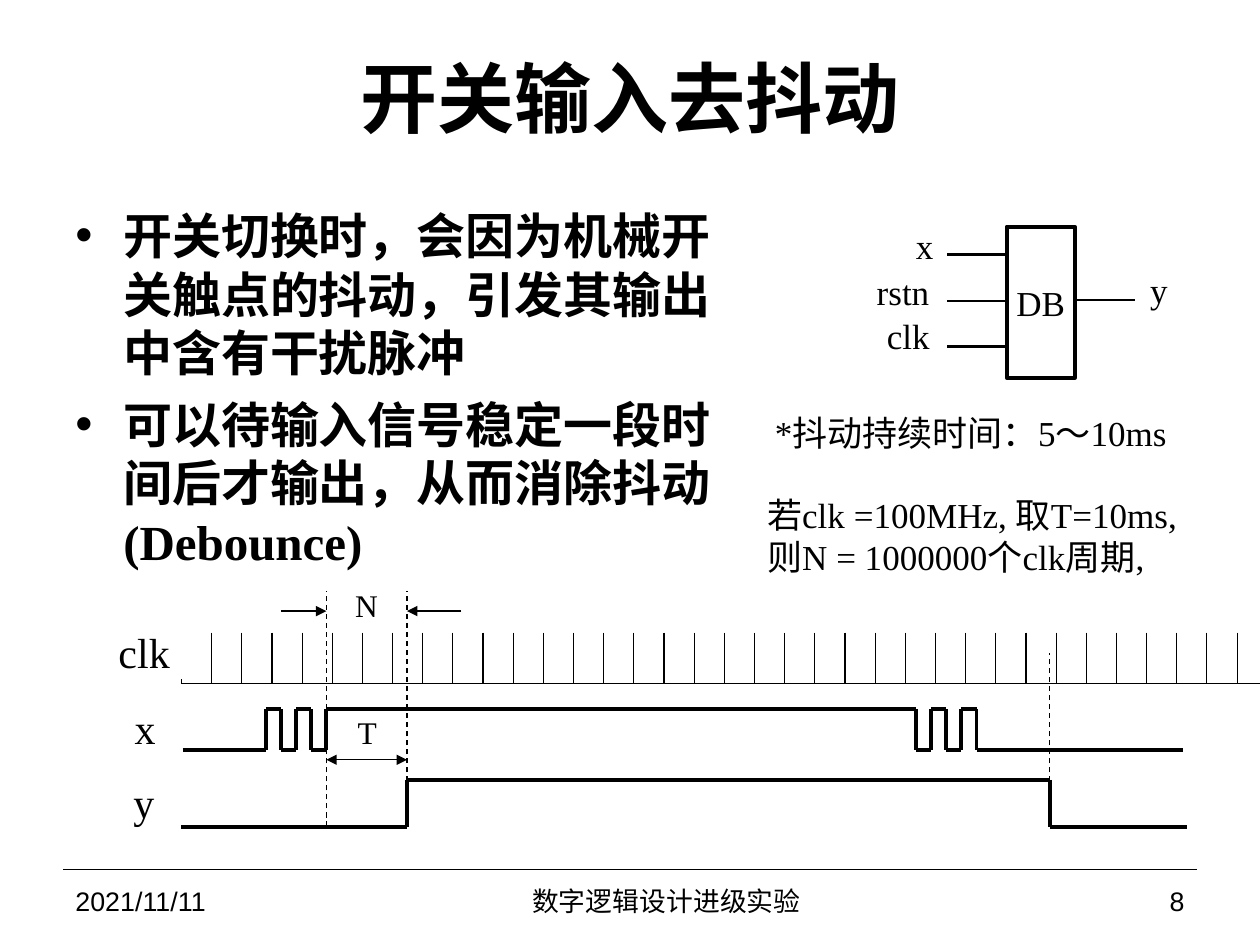
from dataclasses import dataclass
from itertools import pairwise

from lxml.etree import SubElement as Sub
from pptx import Presentation
from pptx.dml.color import RGBColor as Color
from pptx.enum.dml import MSO_LINE as Dash
from pptx.enum.shapes import MSO_CONNECTOR as Conn, MSO_SHAPE as Shape
from pptx.enum.text import MSO_ANCHOR as Anchor, MSO_AUTO_SIZE as Fit, PP_ALIGN as Align
from pptx.oxml.ns import qn
from pptx.util import Inches, Pt

COLS, ROWS = 100, 75
UNIT = Inches(0.1)
TICKS = 75


@dataclass(frozen=True)
class Theme:
    ink: Color = Color(0, 0, 0)
    paper: Color = Color(255, 255, 255)
    serif: str = "Times New Roman"
    sans: str = "Arial"
    title: float = 44
    body: float = 28
    wave: float = 24
    note: float = 20
    mark: float = 18
    foot: float = 15.3
    thin: float = 0.75
    pin: float = 1.5
    bold: float = 2.25
    mask: float = 3


THEME = Theme()


def grid(*cells):
    """Turn grid columns and rows into slide lengths."""
    return [round(n * UNIT) for n in cells]


def style(frame, size, font=THEME.serif, bold=False, align=None):
    for para in frame.paragraphs:
        if align is not None:
            para.alignment = align
        for run in para.runs:
            run.font.size = Pt(size)
            run.font.name = font
            run.font.bold = bold
            run.font.color.rgb = THEME.ink


def label(shapes, text, box, size, wrap=False, fit=True, **look):
    frame = shapes.add_textbox(*grid(*box)).text_frame
    frame.text = text
    frame.word_wrap = wrap
    frame.auto_size = Fit.SHAPE_TO_FIT_TEXT if fit else Fit.NONE
    style(frame, size, **look)
    return frame


def line(shapes, start, end, width=THEME.thin, color=THEME.ink, dash=False, heads=()):
    """Draw a line; heads names the arrow ends, headEnd before tailEnd."""
    wire = shapes.add_connector(Conn.STRAIGHT, *grid(*start, *end))
    wire.line.width = Pt(width)
    wire.line.color.rgb = color
    if dash:
        wire.line.dash_style = Dash.DASH
    for head in heads:
        Sub(wire.line._get_or_add_ln(), qn(f"a:{head}"), type="triangle")
    Sub(wire._element.spPr, qn("a:effectLst"))


def wave(shapes, edges, low, high):
    """Draw a signal that starts low and flips at each inner edge."""
    group = shapes.add_group_shape().shapes
    level, other = low, high
    points = [(edges[0], low)]
    for edge in edges[1:-1]:
        points += [(edge, level), (edge, other)]
        level, other = other, level
    points.append((edges[-1], level))
    for start, end in pairwise(points):
        line(group, start, end, THEME.bold)


def border(cell, sides):
    props = cell._tc.get_or_add_tcPr()
    for side in "LRTB":
        edge = Sub(props, qn(f"a:ln{side}"), w=str(Pt(THEME.thin)))
        if side in sides:
            fill = Sub(edge, qn("a:solidFill"))
            Sub(fill, qn("a:srgbClr"), val=str(THEME.ink))
        else:
            Sub(edge, qn("a:noFill"))
    cell.fill.background()


def clock(shapes):
    left, top, width, height = 14.4, 50.2, 79.6, 3.7
    table = shapes.add_table(1, TICKS, *grid(left, top, width, height)).table
    table.first_row = table.horz_banding = False
    for col in table.columns:
        col.width = round(width * UNIT / TICKS)
    for cell in table.iter_cells():
        border(cell, "LRB")
    for x in (94, 14.5):
        line(shapes, (x, top), (x, top + height), THEME.mask, THEME.paper)


def bullets(shapes, items):
    frame = label(shapes, "\n".join(items), (5, 15.8, 55.8, 31.1), THEME.body,
                  wrap=True, fit=False, bold=True)
    indent = Inches(0.38)
    for index, para in enumerate(frame.paragraphs):
        props = para._p.get_or_add_pPr()
        props.set("marL", str(indent))
        props.set("indent", str(-indent))
        if index:
            para.space_before = Pt(7)
        color = Sub(props, qn("a:buClr"))
        Sub(color, qn("a:srgbClr"), val=str(THEME.ink))
        Sub(props, qn("a:buFont"), typeface=THEME.sans)
        Sub(props, qn("a:buChar"), char="•")


def block(shapes):
    group = shapes.add_group_shape().shapes
    box = group.add_shape(Shape.RECTANGLE, *grid(79.9, 18, 5.4, 12))
    box.shadow.inherit = False
    box.fill.background()
    box.line.color.rgb = THEME.ink
    box.line.width = Pt(THEME.bold)
    frame = box.text_frame
    frame.text = "DB"
    frame.word_wrap = False
    frame.vertical_anchor = Anchor.MIDDLE
    frame.margin_left = frame.margin_right = frame.margin_top = frame.margin_bottom = 0
    style(frame, THEME.note, align=Align.CENTER)
    for text, left, top, width in (("x", 71.7, 17.3, 3.6), ("rstn", 68.6, 21, 6.8),
                                   ("clk", 69.4, 24.5, 5.8), ("y", 90.3, 20.8, 3.6)):
        label(group, text, (left, top, width, 4.4), THEME.note)
    for y in (20.2, 23.9, 27.5):
        line(group, (75.2, y), (79.8, y), THEME.pin)
    line(group, (85.5, 23.8), (90.1, 23.8), THEME.pin)


def timing(shapes):
    rise, out, fall = 25.9, 32.3, 83.3
    pulse = 1.2
    bounce = [rise - pulse * n for n in range(4, -1, -1)]
    release = [72.7 + pulse * n for n in range(5)]
    for x, top in ((fall, 51.8), (out, 46.9), (rise, 46.9)):
        line(shapes, (x, 65.6), (x, top), dash=True)
    wave(shapes, [14.5, *bounce, *release, 93.9], 59.5, 56.3)
    wave(shapes, [14.4, out, fall, 94.2], 65.6, 61.9)
    clock(shapes)
    line(shapes, (rise, 60.3), (out, 60.3), heads=("headEnd", "tailEnd"))
    for start, end in ((22.3, rise), (36.6, out)):
        line(shapes, (start, 48.5), (end, 48.5), heads=("tailEnd",))
    for text, left, top in (("x", 9.7, 55.3), ("y", 9.6, 61.1)):
        label(shapes, text, (left, top, 3.6, 5), THEME.wave)
    name = label(shapes, "clk", (9.4, 49.7, 4.1, 4), THEME.wave)
    name.margin_left = name.margin_right = name.margin_top = name.margin_bottom = 0
    name.vertical_anchor = Anchor.MIDDLE
    for text, left, top in (("T", 27.4, 56.1), ("N", 27.2, 46)):
        label(shapes, text, (left, top, 4.2, 4), THEME.mark, wrap=True)


def footer(shapes):
    line(shapes, (5, 69), (95, 69))
    for text, left, width, align in (("2021/11/11", 5, 23.3, Align.LEFT),
                                     ("数字逻辑设计进级实验", 28.3, 49.2, Align.CENTER),
                                     ("8", 77.5, 17.5, Align.RIGHT)):
        frame = label(shapes, text, (left, 69.8, width, 3.7), THEME.foot,
                      wrap=True, fit=False, font=THEME.sans, align=align)
        frame.vertical_anchor = Anchor.MIDDLE
        frame.paragraphs[0].line_spacing = 0.9


def heading(title, text):
    title.left, title.top, title.width, title.height = grid(5, 3, 90, 9.3)
    title.text_frame.text = text
    title.text_frame.vertical_anchor = Anchor.MIDDLE
    style(title.text_frame, THEME.title, bold=True, align=Align.CENTER)


def main():
    deck = Presentation()
    deck.slide_width, deck.slide_height = grid(COLS, ROWS)
    shapes = deck.slides.add_slide(deck.slide_layouts[5]).shapes
    heading(shapes.title, "开关输入去抖动")
    bullets(shapes, ("开关切换时，会因为机械开关触点的抖动，引发其输出中含有干扰脉冲",
                     "可以待输入信号稳定一段时间后才输出，从而消除抖动 (Debounce)"))
    timing(shapes)
    label(shapes, "*抖动持续时间：5～10ms", (59.9, 32.2, 34.3, 7.7), THEME.note,
          wrap=True, align=Align.CENTER)
    label(shapes, "若clk =100MHz, 取T=10ms, 则N = 1000000个clk周期,",
          (59.9, 38.7, 35.1, 11), THEME.note, wrap=True)
    block(shapes)
    footer(shapes)
    deck.save("out.pptx")


if __name__ == "__main__":
    main()
